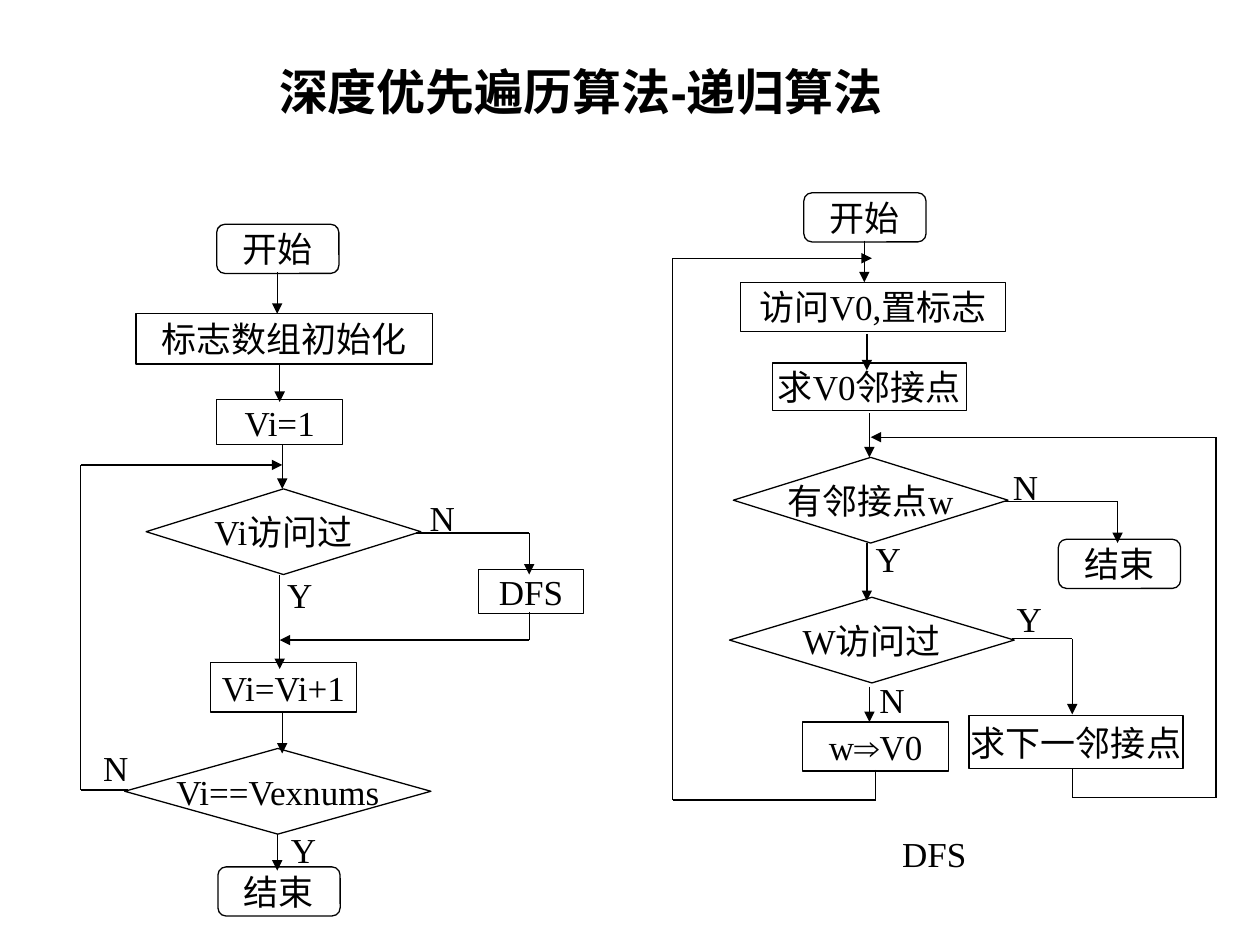
import itertools

import lxml.etree
import pptx
import pptx.dml.color
import pptx.enum.shapes
import pptx.enum.text
import pptx.oxml.ns
import pptx.util

Inches = pptx.util.Inches
BLACK = "000000"
SERIF, SANS = "Times New Roman", "Arial"
FLOW = pptx.enum.shapes.MSO_SHAPE
TERMINAL = FLOW.FLOWCHART_ALTERNATE_PROCESS
PROCESS = FLOW.FLOWCHART_PROCESS
DECISION = FLOW.FLOWCHART_DECISION

# Steps: kind, text, left, top, width, height. Labels: text, left, top, width.
# Paths end in an arrowhead. All lengths are inches from the chart's corner.
MAIN_STEPS = [
    (TERMINAL, "开始", 1.08, 0, 0.97, 0.39),
    (PROCESS, "标志数组初始化", 0.44, 0.71, 2.35, 0.4),
    (PROCESS, "Vi=1", 1.08, 1.39, 1, 0.36),
    (DECISION, "Vi访问过", 0.52, 2.1, 2.18, 0.68),
    (PROCESS, "DFS", 3.16, 2.74, 0.83, 0.35),
    (PROCESS, "Vi=Vi+1", 1.03, 3.48, 1.16, 0.39),
    (DECISION, "Vi==Vexnums", 0.35, 4.16, 2.43, 0.68),
    (TERMINAL, "结束", 1.09, 5.1, 0.97, 0.39),
]
MAIN_PATHS = [
    [(1.56, 0.38), (1.56, 0.71)],
    [(1.58, 1.12), (1.58, 1.41)],
    [(1.6, 1.75), (1.6, 2.1)],
    [(1.58, 2.78), (1.58, 3.53)],
    [(2.66, 2.45), (3.56, 2.45), (3.56, 2.78)],
    [(3.56, 3.08), (3.56, 3.3), (1.58, 3.3)],
    [(1.6, 3.87), (1.6, 4.2)],
    [(0.38, 4.49), (0, 4.49), (0, 1.91), (1.6, 1.91)],
    [(1.56, 4.84), (1.56, 5.13)],
]
MAIN_LABELS = [
    ("N", 2.67, 2.11, 0.4),
    ("N", 0.08, 4.09, 0.4),
    ("Y", 1.54, 2.72, 0.4),
    ("Y", 1.57, 4.74, 0.4),
]

DFS_STEPS = [
    (TERMINAL, "开始", 1.06, 0, 0.97, 0.39),
    (PROCESS, "访问V0,置标志", 0.56, 0.71, 2.1, 0.39),
    (PROCESS, "求V0邻接点", 0.81, 1.35, 1.54, 0.38),
    (DECISION, "有邻接点w", 0.5, 2.1, 2.18, 0.68),
    (PROCESS, "求下一邻接点", 2.37, 4.15, 1.7, 0.42),
    (PROCESS, "w⇒V0", 1.05, 4.2, 1.16, 0.39),
    (DECISION, "W访问过", 0.47, 3.21, 2.26, 0.68),
    (TERMINAL, "结束", 3.08, 2.75, 0.97, 0.39),
]
DFS_PATHS = [
    [(1.54, 0.38), (1.54, 0.71)],
    [(1.56, 1.12), (1.56, 1.41)],
    [(1.58, 1.75), (1.58, 2.1)],
    [(1.56, 2.78), (1.56, 3.24)],
    [(2.64, 2.45), (3.55, 2.45), (3.55, 2.78)],
    [(1.63, 4.58), (1.63, 4.82), (0.02, 4.82), (0.02, 0.52), (1.6, 0.52)],
    [(1.58, 3.92), (1.58, 4.2)],
    [(2.71, 3.54), (3.19, 3.54), (3.19, 4.14)],
    [(3.19, 4.57), (3.19, 4.8), (4.33, 4.8), (4.33, 1.94), (1.59, 1.94)],
]
DFS_LABELS = [
    ("N", 2.62, 2.11, 0.4),
    ("Y", 1.53, 2.68, 0.4),
    ("N", 1.56, 3.8, 0.4),
    ("Y", 2.65, 3.16, 0.4),
    ("DFS", 1.74, 5.02, 0.71),
]


def color(hex_string):
    return pptx.dml.color.RGBColor.from_string(hex_string)


def write_text(shape, text, size=20, font_name=SERIF, bold=False, wrap=False):
    """Centre the text in the shape, with the arrow sign as its own sans run."""
    frame = shape.text_frame
    frame.word_wrap = wrap
    frame.vertical_anchor = pptx.enum.text.MSO_ANCHOR.MIDDLE
    paragraph = frame.paragraphs[0]
    paragraph.alignment = pptx.enum.text.PP_ALIGN.CENTER
    for part in filter(None, text.replace("⇒", "\n⇒\n").split("\n")):
        run = paragraph.add_run()
        run.text = part
        run.font.size = pptx.util.Pt(size)
        run.font.name = SANS if part == "⇒" else font_name
        run.font.bold = bold
        run.font.color.rgb = color(BLACK)


def style_line(line):
    line.color.rgb = color(BLACK)
    line.width = pptx.util.Pt(0.75)


def add_step(shapes, kind, text, left, top, width, height):
    step = shapes.add_shape(kind, left, top, width, height)
    step.shadow.inherit = False
    step.fill.background()
    style_line(step.line)
    write_text(step, text)


def add_path(shapes, points):
    """Join the points with straight lines and put an arrowhead on the last."""
    for start, end in itertools.pairwise(points):
        connector = shapes.add_connector(
            pptx.enum.shapes.MSO_CONNECTOR.STRAIGHT, *start, *end)
        style_line(connector.line)
        properties = connector._element.spPr
        lxml.etree.SubElement(properties, pptx.oxml.ns.qn("a:effectLst"))
    lxml.etree.SubElement(connector.line._get_or_add_ln(),
                          pptx.oxml.ns.qn("a:tailEnd"), type="triangle")


def add_label(shapes, text, left, top, width):
    label = shapes.add_textbox(left, top, width, Inches(0.44))
    write_text(label, text)
    label.text_frame.auto_size = pptx.enum.text.MSO_AUTO_SIZE.SHAPE_TO_FIT_TEXT


def add_flowchart(slide, left, top, steps, paths, labels):
    shapes = slide.shapes.add_group_shape().shapes

    def place(x, y):
        return left + Inches(x), top + Inches(y)

    for kind, text, x, y, width, height in steps:
        add_step(shapes, kind, text, *place(x, y), Inches(width), Inches(height))
    for points in paths:
        add_path(shapes, [place(x, y) for x, y in points])
    for text, x, y, width in labels:
        add_label(shapes, text, *place(x, y), Inches(width))


def add_title(slide, left, top, width, height):
    title = slide.shapes.add_textbox(left, top, width, height)
    write_text(title, "深度优先遍历算法-递归算法", 28, SANS, bold=True, wrap=True)


def main():
    presentation = pptx.Presentation()
    presentation.slide_width = Inches(10)
    presentation.slide_height = Inches(7.5)
    slide = presentation.slides.add_slide(presentation.slide_layouts[6])
    add_flowchart(slide, Inches(5.32), Inches(1.53),
                  DFS_STEPS, DFS_PATHS, DFS_LABELS)
    add_flowchart(slide, Inches(0.64), Inches(1.78),
                  MAIN_STEPS, MAIN_PATHS, MAIN_LABELS)
    add_title(slide, Inches(0.36), Inches(0.27), Inches(8.5), Inches(0.9))
    presentation.save("out.pptx")


if __name__ == "__main__":
    main()
